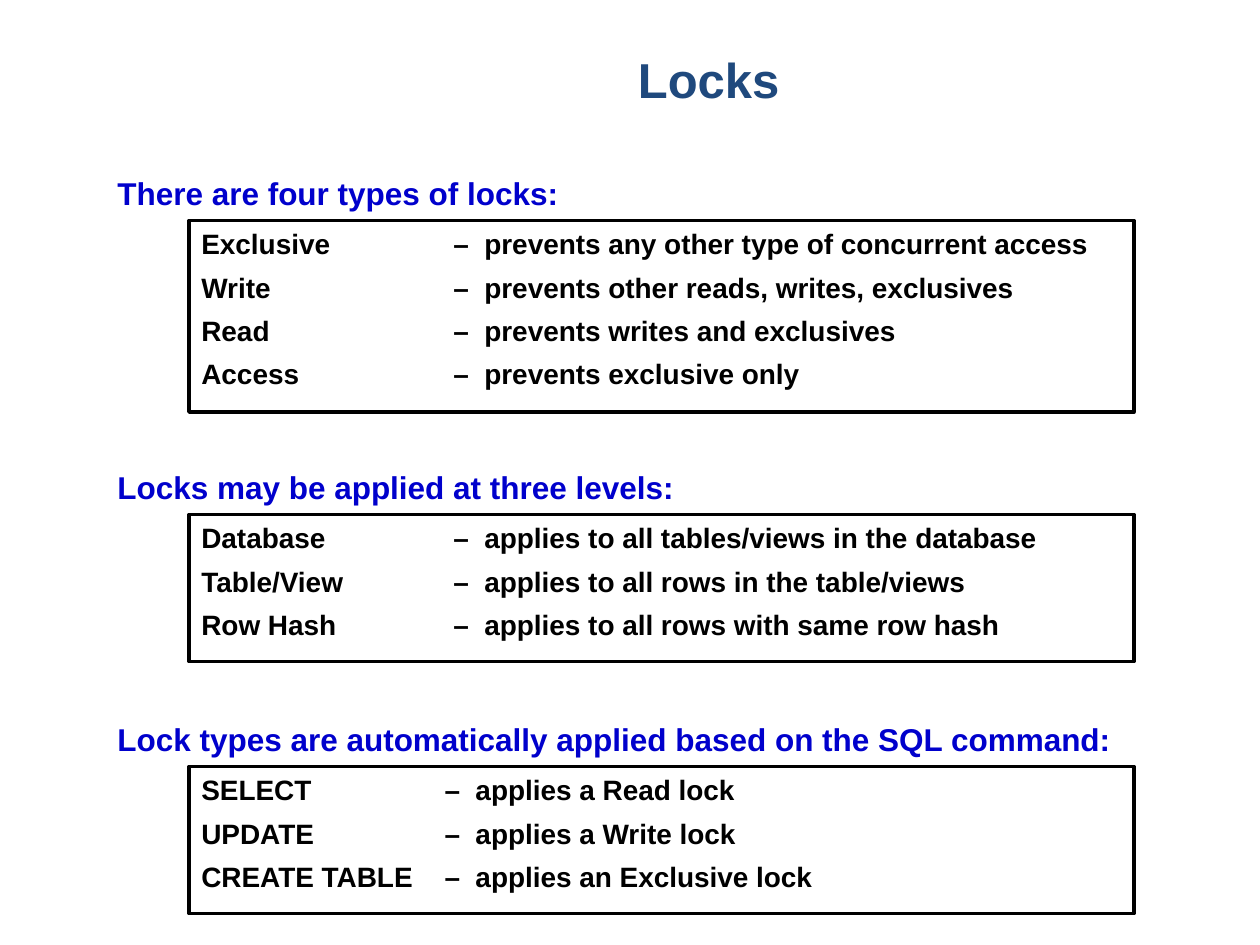
import pptx
import pptx.util
import pptx.dml.color
import pptx.enum.shapes
import pptx.enum.text
import lxml.etree

RGB = pptx.dml.color.RGBColor
NAVY = RGB(0x1F, 0x49, 0x7D)
BLUE = RGB(0x00, 0x00, 0xCC)
BLACK = RGB(0x00, 0x00, 0x00)
ALIGN = pptx.enum.text.PP_ALIGN
ANCHOR = pptx.enum.text.MSO_ANCHOR
NS = "http://schemas.openxmlformats.org/drawingml/2006/main"

TYPES = [
    ("Exclusive", "prevents any other type of concurrent access"),
    ("Write", "prevents other reads, writes, exclusives"),
    ("Read", "prevents writes and exclusives"),
    ("Access", "prevents exclusive only"),
]
LEVELS = [
    ("Database", "applies to all tables/views in the database"),
    ("Table/View", "applies to all rows in the table/views"),
    ("Row Hash", "applies to all rows with same row hash"),
]
VERBS = [
    ("SELECT", "applies a Read lock"),
    ("UPDATE", "applies a Write lock"),
    ("CREATE TABLE", "applies an Exclusive lock"),
]


class Page:
    """Draw styled parts on a slide with a grid of 12 columns and 18 rows."""

    title_font = {"name": "Arial", "size": pptx.util.Pt(28), "bold": True}
    head_font = {"name": "Arial", "size": pptx.util.Pt(18), "bold": True}
    item_font = {"name": "Arial", "size": pptx.util.Pt(16), "bold": True}

    def __init__(self, deck):
        self.slide = deck.slides.add_slide(deck.slide_layouts[5])
        self.col = deck.slide_width / 12
        self.row = deck.slide_height / 18

    def place(self, left, top, width, height):
        return [int(n) for n in (left * self.col, top * self.row,
                                 width * self.col, height * self.row)]

    def style(self, font, look, color):
        for key, value in look.items():
            setattr(font, key, value)
        font.color.rgb = color

    def title(self, text, *spot):
        shape = self.slide.shapes.title
        for key, value in zip(("left", "top", "width", "height"), self.place(*spot)):
            setattr(shape, key, value)
        frame = shape.text_frame
        frame.text = text
        frame.vertical_anchor = ANCHOR.MIDDLE
        para = frame.paragraphs[0]
        para.alignment = ALIGN.CENTER
        self.style(para.runs[0].font, self.title_font, NAVY)

    def head(self, group, text, *spot):
        frame = group.shapes.add_textbox(*self.place(*spot)).text_frame
        frame.word_wrap = True
        frame.text = text
        self.style(frame.paragraphs[0].runs[0].font, self.head_font, BLUE)

    def box(self, group, items, tab, *spot):
        kind = pptx.enum.shapes.MSO_SHAPE.RECTANGLE
        shape = group.shapes.add_shape(kind, *self.place(*spot))
        shape.shadow.inherit = False
        shape.fill.background()
        shape.line.color.rgb = BLACK
        shape.line.width = pptx.util.Pt(2)
        frame = shape.text_frame
        frame.word_wrap = True
        frame.vertical_anchor = ANCHOR.TOP
        frame.text = "\n".join(f"{name}\t–  {note}" for name, note in items)
        for para in frame.paragraphs:
            para.alignment = ALIGN.LEFT
            para.space_after = pptx.util.Pt(5.6)
            self.style(para.runs[0].font, self.item_font, BLACK)
            tabs = lxml.etree.SubElement(para._p.get_or_add_pPr(), f"{{{NS}}}tabLst")
            lxml.etree.SubElement(tabs, f"{{{NS}}}tab",
                                  pos=str(pptx.util.Inches(tab)), algn="l")

    def block(self, text, items, top, wide, high, tab):
        group = self.slide.shapes.add_group_shape()
        self.head(group, text, 1, top, wide, 0.96)
        self.box(group, items, tab, 1.8, top + 1, 9, high)


def main():
    deck = pptx.Presentation()
    deck.slide_width = pptx.util.Inches(10)
    deck.slide_height = pptx.util.Inches(7.5)
    page = Page(deck)
    page.title("Locks", 2, 0.4, 9.5, 2.2)
    page.block("There are four types of locks:", TYPES, 3.2, 4.9, 3.65, 2)
    page.block("Locks may be applied at three levels:", LEVELS, 8.8, 7.62, 2.8, 2)
    page.block("Lock types are automatically applied based on the SQL command:",
               VERBS, 13.6, 9.8, 2.8, 1.93)
    deck.save("out.pptx")


if __name__ == "__main__":
    main()
